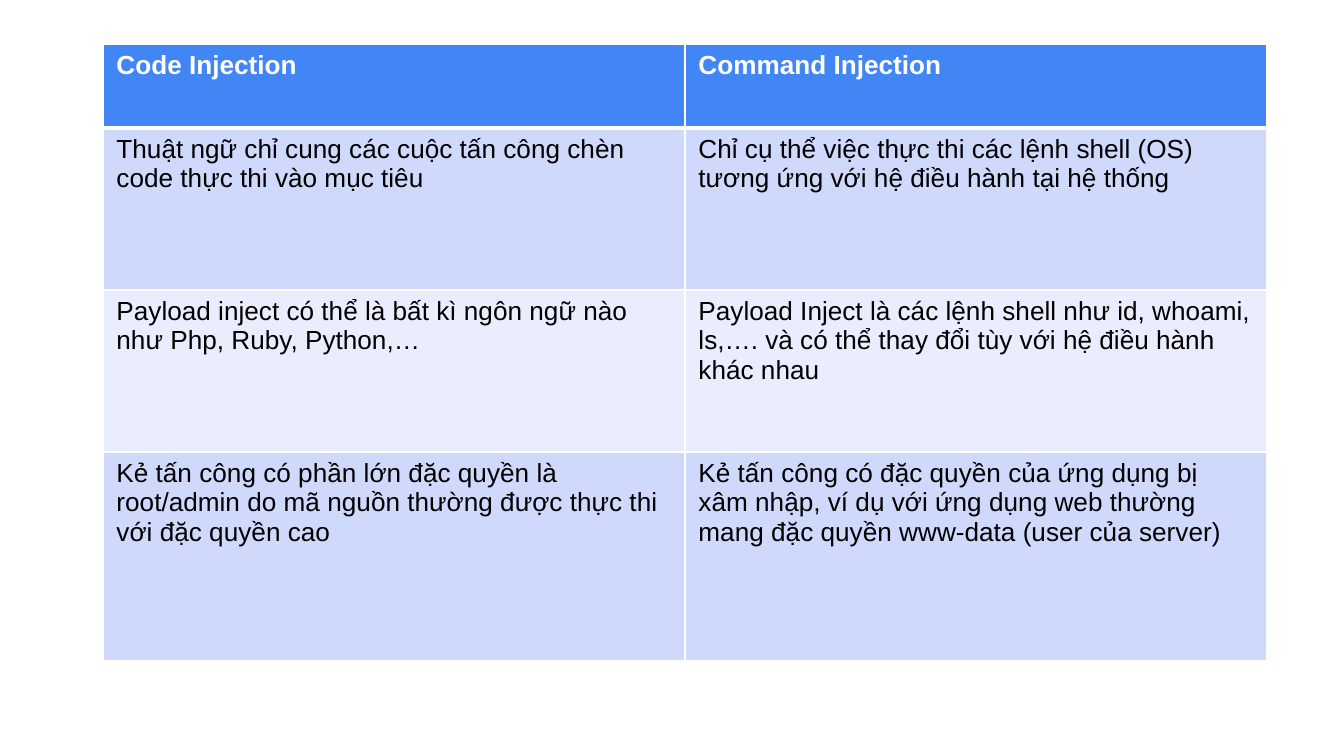
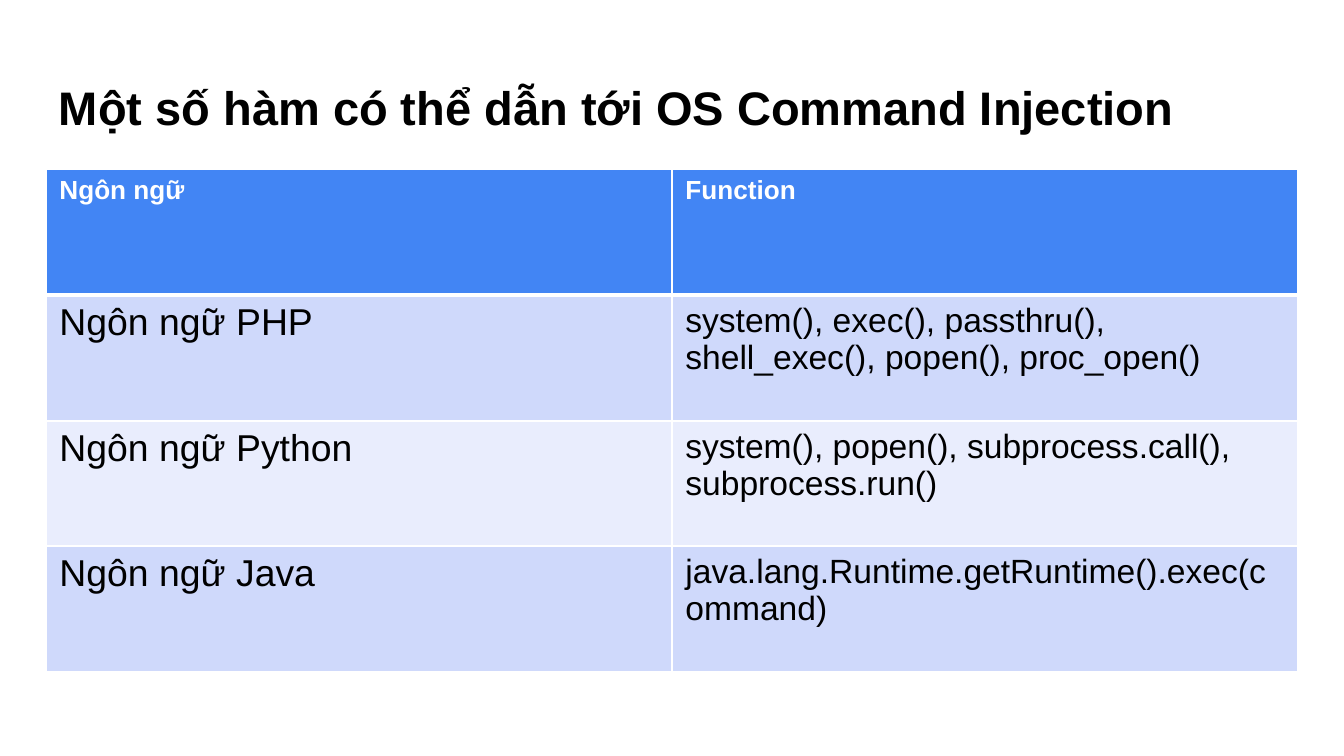
from dataclasses import dataclass

from lxml.etree import SubElement
from pptx import Presentation
from pptx.dml.color import RGBColor
from pptx.oxml.ns import qn
from pptx.util import Emu, Pt

EMU_PER_PX = 914400 / 134.4
PAGE_SIZE = (1344, 756)


@dataclass(frozen=True)
class Theme:
    font: str = "Arial"
    ink: str = "000000"
    paper: str = "FFFFFF"
    header: str = "4285F4"
    bands: tuple = ("CFD9FB", "E9EDFD")
    title_size: float = 25.2
    header_size: int = 14
    rule: int = 1
    header_rule: int = 3


THEME = Theme()

PAGES = [
    {
        "title": None,
        "left": 103, "top": 44, "column": 582,
        "row_heights": (84, 162, 162, 209),
        "body_sizes": (14, 14),
        "rows": [
            ("Code Injection", "Command Injection"),
            ("Thuật ngữ chỉ cung các cuộc tấn công chèn code thực thi vào mục tiêu",
             "Chỉ cụ thể việc thực thi các lệnh shell (OS) tương ứng với hệ điều hành tại hệ thống"),
            ("Payload inject có thể là bất kì ngôn ngữ nào như Php, Ruby, Python,…",
             "Payload Inject là các lệnh shell như id, whoami, ls,…. và có thể thay đổi tùy "
             "với hệ điều hành khác nhau"),
            ("Kẻ tấn công có phần lớn đặc quyền là root/admin do mã nguồn thường được thực thi "
             "với đặc quyền cao",
             "Kẻ tấn công có đặc quyền của ứng dụng bị xâm nhập, ví dụ với ứng dụng web thường "
             "mang đặc quyền www-data (user của server)"),
        ],
    },
    {
        "title": "Một số hàm có thể dẫn tới OS Command Injection",
        "left": 46, "top": 169, "column": 626,
        "row_heights": (126, 126, 125, 126),
        "body_sizes": (20, 18),
        "rows": [
            ("Ngôn ngữ", "Function"),
            ("Ngôn ngữ PHP", "system(), exec(), passthru(), shell_exec(), popen(), proc_open()"),
            ("Ngôn ngữ Python", "system(), popen(), subprocess.call(), subprocess.run()"),
            ("Ngôn ngữ Java", "java.lang.Runtime.getRuntime().exec(command)"),
        ],
    },
]
TITLE_BOX = (46, 66, 1252, 84)
TITLE_INSET = 13


def px(length):
    return Emu(round(length * EMU_PER_PX))


def write(frame, text, *, size, color=THEME.ink, bold=False):
    frame.word_wrap = True
    span = frame.paragraphs[0].add_run()
    span.text = text
    span.font.name = THEME.font
    span.font.size = Pt(size)
    span.font.bold = bold
    span.font.color.rgb = RGBColor.from_string(color)


def add_title(page, text):
    frame = page.shapes.add_textbox(*map(px, TITLE_BOX)).text_frame
    frame.margin_left = frame.margin_right = px(TITLE_INSET)
    frame.margin_top = frame.margin_bottom = px(TITLE_INSET)
    write(frame, text, size=THEME.title_size, bold=True)


def set_borders(cell, *, top, bottom):
    """Draw the four cell edges; call before filling, as the schema wants lines first."""
    properties = cell._tc.get_or_add_tcPr()
    widths = {"L": THEME.rule, "R": THEME.rule, "T": top, "B": bottom}
    for side, width in widths.items():
        line = SubElement(properties, qn(f"a:ln{side}"), w=str(Pt(width)))
        fill = SubElement(line, qn("a:solidFill"))
        SubElement(fill, qn("a:srgbClr"), val=THEME.paper)


def add_comparison(page, content):
    rows, heights = content["rows"], content["row_heights"]
    columns = len(rows[0])
    table = page.shapes.add_table(
        len(rows), columns, px(content["left"]), px(content["top"]),
        px(content["column"] * columns), px(sum(heights))).table
    for column in table.columns:
        column.width = px(content["column"])
    for index, (texts, height) in enumerate(zip(rows, heights)):
        table.rows[index].height = px(height)
        is_header = index == 0
        fill = THEME.header if is_header else THEME.bands[(index - 1) % 2]
        for cell, text, body_size in zip(table.rows[index].cells, texts, content["body_sizes"]):
            set_borders(cell,
                        top=THEME.header_rule if index == 1 else THEME.rule,
                        bottom=THEME.header_rule if is_header else THEME.rule)
            cell.fill.solid()
            cell.fill.fore_color.rgb = RGBColor.from_string(fill)
            write(cell.text_frame, text,
                  size=THEME.header_size if is_header else body_size,
                  color=THEME.paper if is_header else THEME.ink, bold=is_header)


def main():
    deck = Presentation()
    deck.slide_width, deck.slide_height = map(px, PAGE_SIZE)
    blank = deck.slide_layouts[6]
    for content in PAGES:
        page = deck.slides.add_slide(blank)
        if content["title"]:
            add_title(page, content["title"])
        add_comparison(page, content)
    deck.save("out.pptx")


if __name__ == "__main__":
    main()
